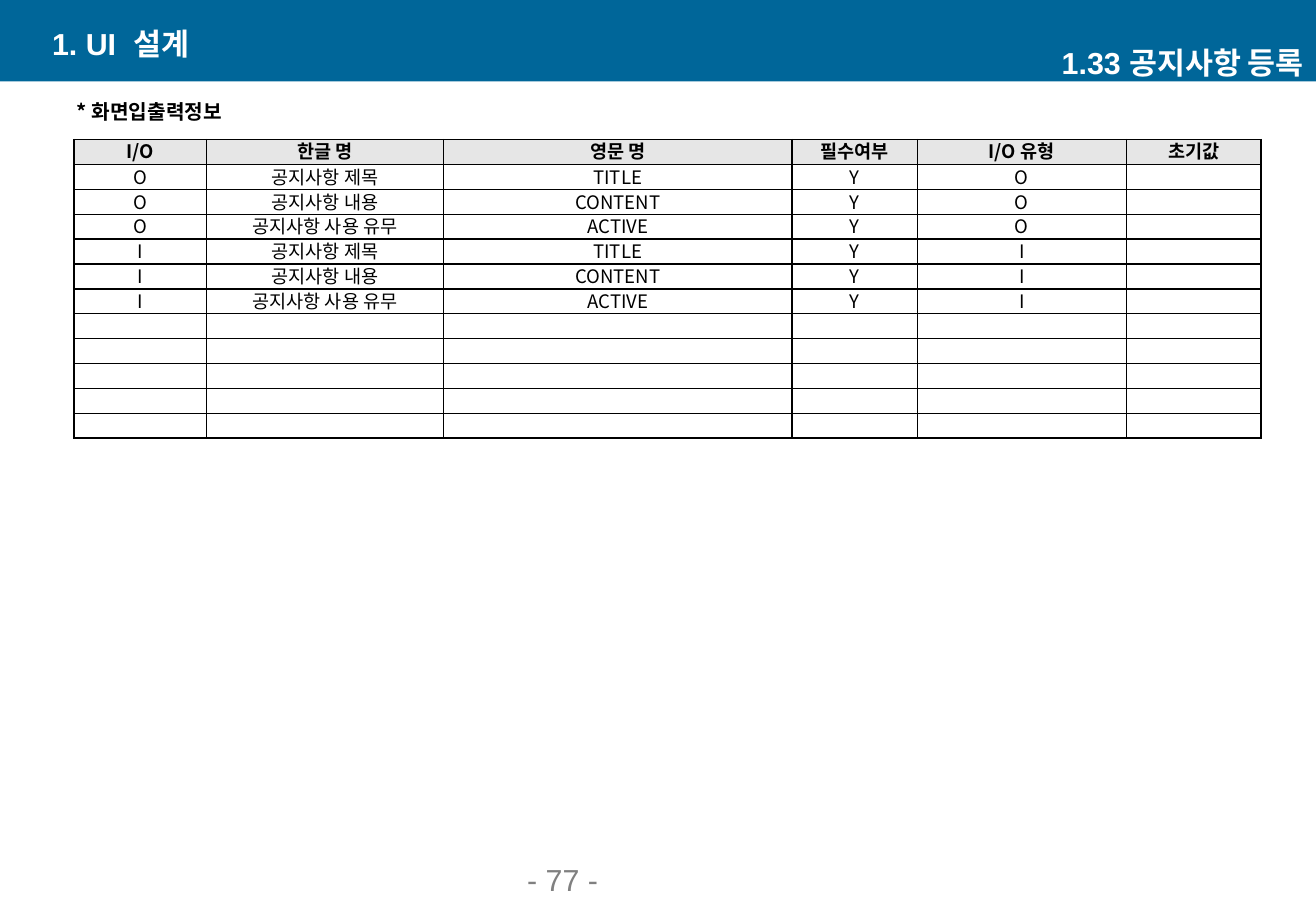
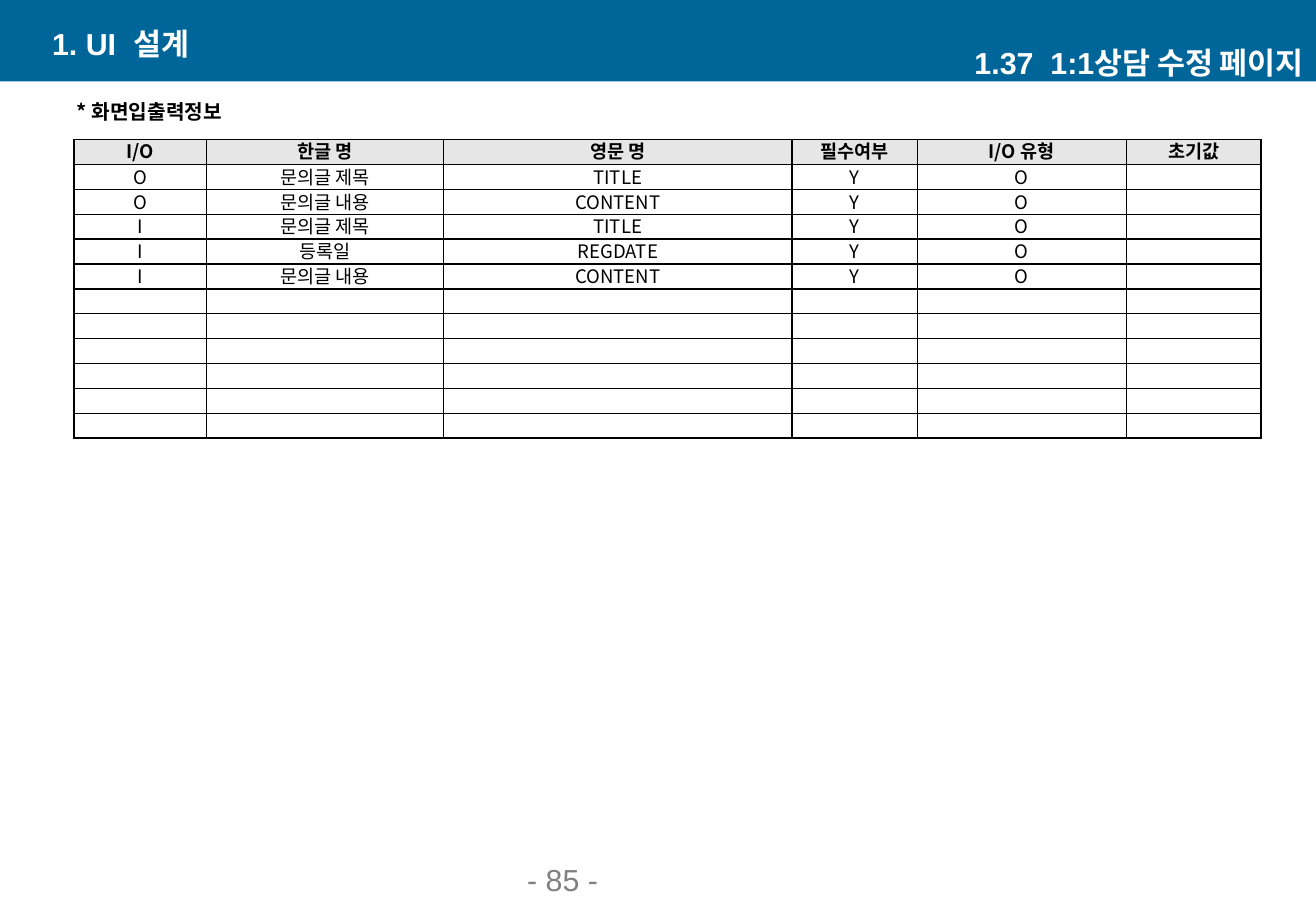
"""Build two screen input/output specification slides."""
from lxml import etree
from pptx import Presentation
from pptx.dml.color import RGBColor
from pptx.enum.shapes import MSO_SHAPE
from pptx.enum.text import MSO_ANCHOR, MSO_AUTO_SIZE, PP_ALIGN
from pptx.oxml.ns import qn
from pptx.util import Inches, Pt

RECTANGLE = MSO_SHAPE.RECTANGLE
MIDDLE, BOTTOM = MSO_ANCHOR.MIDDLE, MSO_ANCHOR.BOTTOM
NO_AUTOFIT = MSO_AUTO_SIZE.NONE
LEFT, CENTER, RIGHT = PP_ALIGN.LEFT, PP_ALIGN.CENTER, PP_ALIGN.RIGHT

COLORS = {"band": "006699", "header": "E6E6E6", "page": "808080",
          "white": "FFFFFF", "black": "000000"}
LATIN, KOREAN = "Arial", "Noto Sans CJK KR"
COLUMN_WIDTHS = [1.09, 1.95, 2.87, 1.03, 1.72, 1.11]
ROW_COUNT, TABLE_HEIGHT = 12, 2.46
HEADER = ["I/O", "한글 명", "영문 명", "필수여부", "I/O 유형", "초기값"]
PAGES = [
    ("1.33 공지사항 등록", 77, [
        ("O", "공지사항 제목", "TITLE", "Y", "O"),
        ("O", "공지사항 내용", "CONTENT", "Y", "O"),
        ("O", "공지사항 사용 유무", "ACTIVE", "Y", "O"),
        ("I", "공지사항 제목", "TITLE", "Y", "I"),
        ("I", "공지사항 내용", "CONTENT", "Y", "I"),
        ("I", "공지사항 사용 유무", "ACTIVE", "Y", "I"),
    ]),
    ("1.37  1:1상담 수정 페이지", 85, [
        ("O", "문의글 제목", "TITLE", "Y", "O"),
        ("O", "문의글 내용", "CONTENT", "Y", "O"),
        ("I", "문의글 제목", "TITLE", "Y", "O"),
        ("I", "등록일", "REGDATE", "Y", "O"),
        ("I", "문의글 내용", "CONTENT", "Y", "O"),
    ]),
]


def write_text(frame, text, size=18, font=LATIN, color="white", bold=False,
               align=LEFT, anchor=MIDDLE, wrap=True, line=None):
    """Fill a text frame with one formatted paragraph."""
    frame.word_wrap = wrap
    frame.vertical_anchor = anchor
    paragraph = frame.paragraphs[0]
    paragraph.alignment = align
    if line:
        paragraph.line_spacing = Pt(line)
    if not text:
        etree.SubElement(paragraph._p, qn("a:endParaRPr"), sz=str(size * 100))
        return
    run = paragraph.add_run()
    run.text = text
    run.font.size = Pt(size)
    run.font.name = font
    run.font.bold = bold
    run.font.color.rgb = RGBColor.from_string(COLORS[color])
    if font == KOREAN:
        etree.SubElement(run.font._element, qn("a:ea"), typeface=font)


def draw_borders(cell):
    """Put a thin black line on each side of a table cell."""
    properties = cell._tc.get_or_add_tcPr()
    for index, side in enumerate(("lnL", "lnR", "lnT", "lnB")):
        border = etree.Element(qn(f"a:{side}"), w=str(Pt(1)))
        fill = etree.SubElement(border, qn("a:solidFill"))
        etree.SubElement(fill, qn("a:srgbClr"), val=COLORS["black"])
        properties.insert(index, border)


presentation = Presentation()
presentation.slide_width = Inches(10.83)
presentation.slide_height = Inches(7.5)
layout = presentation.slide_layouts[5]

for page_index, (title, page_number, records) in enumerate(PAGES):
    slide = presentation.slides.add_slide(layout)
    if page_index == 0:
        band = slide.shapes.add_shape(RECTANGLE, 0, 0, presentation.slide_width, Inches(0.67))
        band.shadow.inherit = False
        band.fill.solid()
        band.fill.fore_color.rgb = RGBColor.from_string(COLORS["band"])
        band.line.fill.background()
        layout.shapes.element.insert(2, band.element)

    page_box = slide.shapes.add_textbox(Inches(4.24), Inches(7.13), Inches(2.26), Inches(0.31))
    write_text(page_box.text_frame, f"- {page_number} -", color="page", anchor=BOTTOM)

    table_frame = slide.shapes.add_table(
        ROW_COUNT, len(HEADER), Inches(0.61), Inches(1.15),
        Inches(sum(COLUMN_WIDTHS)), Inches(TABLE_HEIGHT))
    table = table_frame.table
    table.first_row = False
    table.horz_banding = False
    for column, width in zip(table.columns, COLUMN_WIDTHS):
        column.width = Inches(width)
    rows = [HEADER, *records]
    for row_index, row in enumerate(table.rows):
        row.height = Inches(TABLE_HEIGHT / ROW_COUNT)
        is_header = row_index == 0
        values = rows[row_index] if row_index < len(rows) else ()
        for column_index, cell in enumerate(row.cells):
            text = values[column_index] if column_index < len(values) else ""
            cell.margin_left = cell.margin_right = Inches(0.07 if is_header else 0.01)
            cell.margin_top = Inches(0 if is_header else 0.01)
            cell.margin_bottom = 0
            if is_header:
                cell.fill.solid()
                cell.fill.fore_color.rgb = RGBColor.from_string(COLORS["header"])
            else:
                cell.fill.background()
            draw_borders(cell)
            cell.vertical_anchor = MIDDLE
            write_text(cell.text_frame, text, size=11, font=KOREAN, color="black",
                       bold=is_header, align=CENTER, anchor=None, wrap=None, line=14)

    caption = slide.shapes.add_textbox(Inches(0.47), Inches(0.77), Inches(1.52), Inches(0.29))
    write_text(caption.text_frame, "* 화면입출력정보", size=12, font=KOREAN, color="black",
               bold=True, align=CENTER, wrap=False)

    section = slide.shapes.add_textbox(Inches(0.33), Inches(0.19), Inches(4.38), Inches(0.33))
    write_text(section.text_frame, "1. UI  설계", bold=True)

    heading = slide.shapes.title
    heading.left, heading.top = Inches(6.45), Inches(0.35)
    heading.width, heading.height = Inches(4.38), Inches(0.33)
    heading.text_frame.auto_size = NO_AUTOFIT
    write_text(heading.text_frame, title, bold=True, align=RIGHT)

presentation.save("out.pptx")
